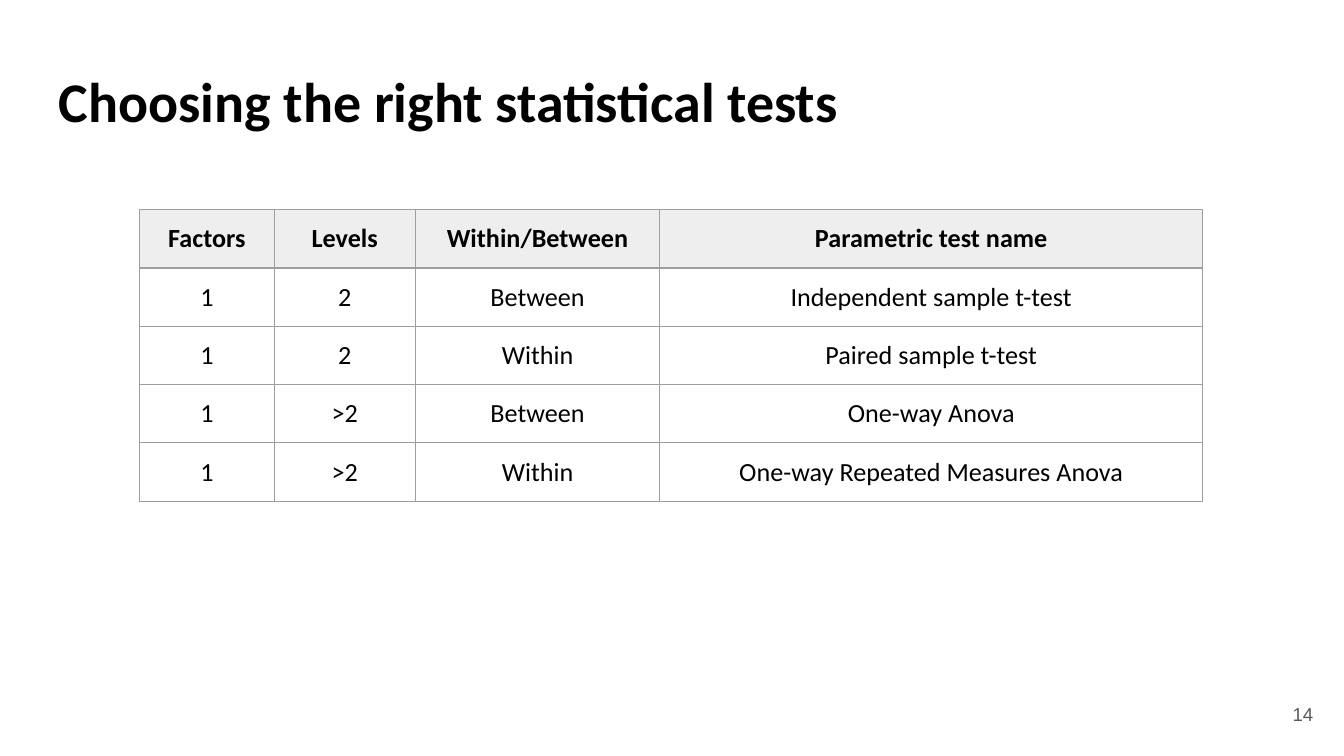
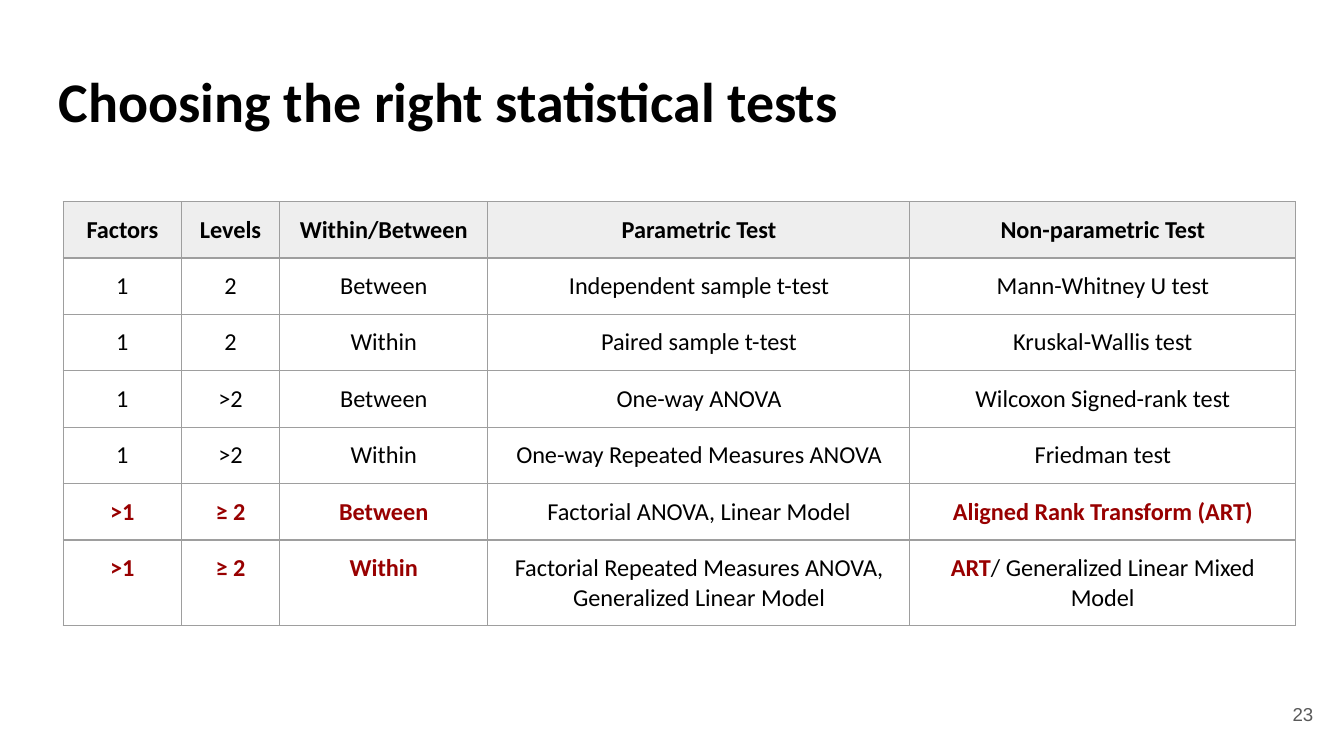
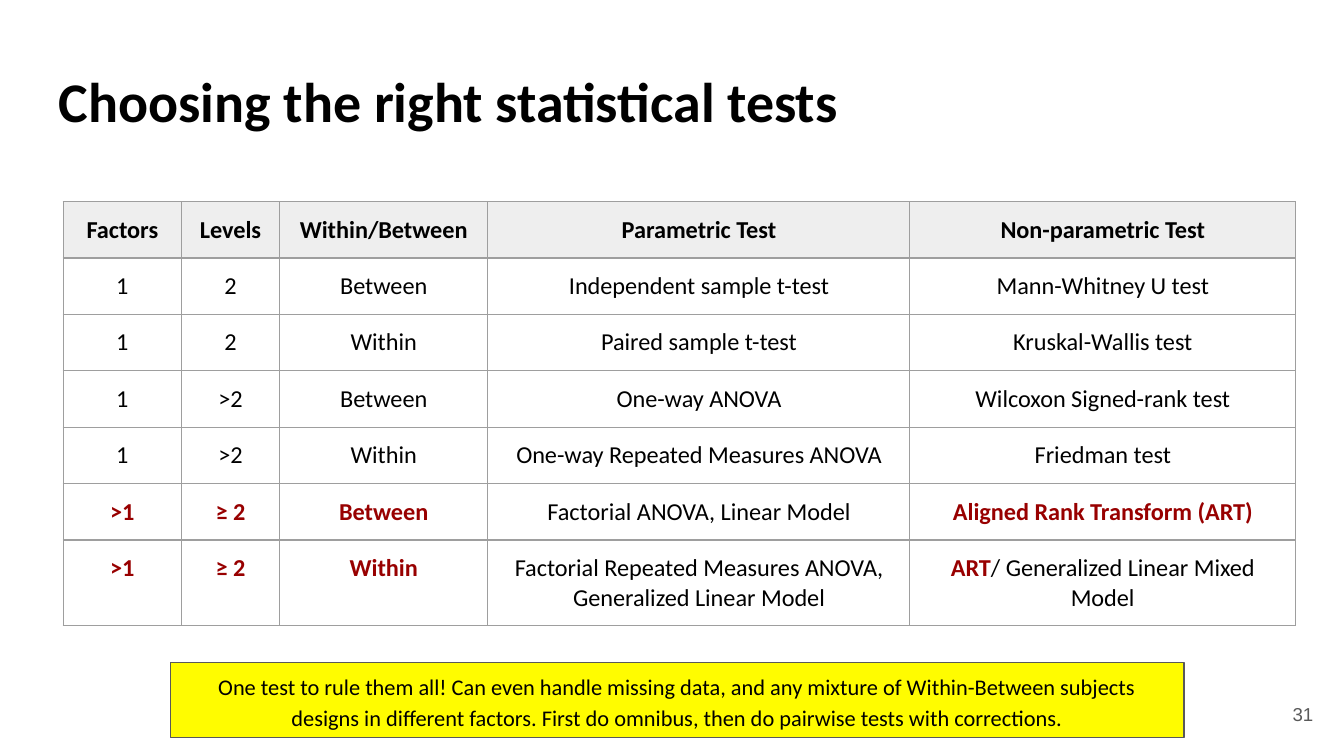
from lxml.etree import SubElement
from pptx import Presentation
from pptx.dml.color import RGBColor
from pptx.enum.shapes import MSO_SHAPE as Shape
from pptx.enum.text import MSO_ANCHOR as Anchor, PP_ALIGN as Align
from pptx.oxml.ns import qn
from pptx.util import Inches, Pt

TITLE = "Choosing the right statistical tests"
NOTE = ("One test to rule them all! Can even handle missing data, and any mixture of "
        "Within-Between subjects designs in different factors. "
        "First do omnibus, then do pairwise tests with corrections.")

# Text between asterisks is highlighted.
BASIC_TESTS = [
    ("Factors", "Levels", "Within/Between", "Parametric test name"),
    ("1", "2", "Between", "Independent sample t-test"),
    ("1", "2", "Within", "Paired sample t-test"),
    ("1", ">2", "Between", "One-way Anova"),
    ("1", ">2", "Within", "One-way Repeated Measures Anova"),
]
ALL_TESTS = [
    ("Factors", "Levels", "Within/Between", "Parametric Test", "Non-parametric Test"),
    ("1", "2", "Between", "Independent sample t-test", "Mann-Whitney U test"),
    ("1", "2", "Within", "Paired sample t-test", "Kruskal-Wallis test"),
    ("1", ">2", "Between", "One-way ANOVA", "Wilcoxon Signed-rank test"),
    ("1", ">2", "Within", "One-way Repeated Measures ANOVA", "Friedman test"),
    ("*>1*", "*≥ 2*", "*Between*", "Factorial ANOVA, Linear Model",
     "*Aligned Rank Transform (ART)*"),
    ("*>1*", "*≥ 2*", "*Within*",
     "Factorial Repeated Measures ANOVA, Generalized Linear Model",
     "*ART*/ Generalized Linear Mixed Model"),
]
BASIC = {"rows": BASIC_TESTS, "left": 1.04, "top": 1.56,
         "columns": (1, 1.05, 1.82, 4.04), "size": 14}
FULL = {"rows": ALL_TESTS, "left": 0.47, "top": 1.5,
        "columns": (0.88, 0.73, 1.55, 3.14, 2.87), "size": 13}
SLIDES = [
    {"number": 14, "table": BASIC},
    {"number": 23, "table": FULL},
    {"number": 31, "table": FULL, "note": NOTE},
]

WIDTH = 10
HEIGHT = WIDTH * 9 / 16
ROW_HEIGHT = 0.42
INSET = 0.1
BLACK, RED, GREY = "000000", "980000", "595959"
HEADER, BORDER, YELLOW = "EEEEEE", "9E9E9E", "FFFC00"

TITLE_FONT = {"name": "Calibri", "size": Pt(30), "bold": True}
NOTE_FONT = {"name": "Calibri", "size": Pt(12), "bold": False}
NUMBER_FONT = {"name": "Arial", "size": Pt(10), "bold": False}


def color(value):
    return RGBColor.from_string(value)


def assign(target, values):
    for name, value in values.items():
        setattr(target, name, value)


def set_insets(target):
    assign(target, {f"margin_{side}": Inches(INSET)
                    for side in ("left", "top", "right", "bottom")})


def add_span(para, text, font, ink=BLACK):
    span = para.add_run()
    span.text = text
    assign(span.font, font)
    span.font.color.rgb = color(ink)


def write(box, text, font, ink=BLACK, anchor=Anchor.MIDDLE, **layout):
    """Fill a box with one paragraph; layout holds paragraph attributes."""
    frame = box.text_frame
    assign(frame, {"word_wrap": True, "vertical_anchor": anchor})
    set_insets(frame)
    para = frame.paragraphs[0]
    assign(para, layout)
    add_span(para, text, font, ink)


def add_box(page, left, top, width, height):
    return page.shapes.add_textbox(*map(Inches, (left, top, width, height)))


def add_borders(cell):
    properties = cell._tc.get_or_add_tcPr()
    for side in "LRTB":
        line = SubElement(properties, qn(f"a:ln{side}"), w=str(Pt(0.75)))
        fill = SubElement(line, qn("a:solidFill"))
        SubElement(fill, qn("a:srgbClr"), val=BORDER)


def fill_cell(cell, text, size, is_header):
    set_insets(cell)
    add_borders(cell)
    if is_header:
        cell.fill.solid()
        cell.fill.fore_color.rgb = color(HEADER)
    else:
        cell.fill.background()
    para = cell.text_frame.paragraphs[0]
    para.alignment = Align.CENTER
    for index, part in enumerate(text.split("*")):
        marked = index % 2 == 1
        if part:
            font = {"name": "Calibri", "size": Pt(size), "bold": is_header or marked}
            add_span(para, part, font, RED if marked else BLACK)


def add_tests(page, rows, left, top, columns, size):
    bounds = (left, top, sum(columns), ROW_HEIGHT * len(rows))
    table = page.shapes.add_table(len(rows), len(columns), *map(Inches, bounds)).table
    assign(table, {"first_row": False, "horz_banding": False})
    for column, width in zip(table.columns, columns):
        column.width = Inches(width)
    for r, row in enumerate(rows):
        table.rows[r].height = Inches(ROW_HEIGHT)
        for c, text in enumerate(row):
            fill_cell(table.cell(r, c), text, size, r == 0)


def add_note(page, text):
    bounds = map(Inches, (1.27, 4.93, 7.54, 0.56))
    box = page.shapes.add_shape(Shape.RECTANGLE, *bounds)
    box.shadow.inherit = False
    box.fill.solid()
    box.fill.fore_color.rgb = color(YELLOW)
    box.line.color.rgb = color(GREY)
    box.line.width = Pt(0.75)
    write(box, text, NOTE_FONT, alignment=Align.CENTER, line_spacing=1.15)


def add_page(deck, number, table, note=None):
    page = deck.slides.add_slide(deck.slide_layouts[6])
    margin = 0.34
    write(add_box(page, margin, 0.49, WIDTH - 2 * margin, 0.63), TITLE, TITLE_FONT,
          anchor=Anchor.TOP, line_spacing=0.8)
    add_tests(page, **table)
    if note:
        add_note(page, note)
    write(add_box(page, 9.27, 5.1, 0.6, 0.43), str(number), NUMBER_FONT, GREY,
          alignment=Align.RIGHT)


def main():
    deck = Presentation()
    assign(deck, {"slide_width": Inches(WIDTH), "slide_height": Inches(HEIGHT)})
    for content in SLIDES:
        add_page(deck, **content)
    deck.save("out.pptx")


if __name__ == "__main__":
    main()
